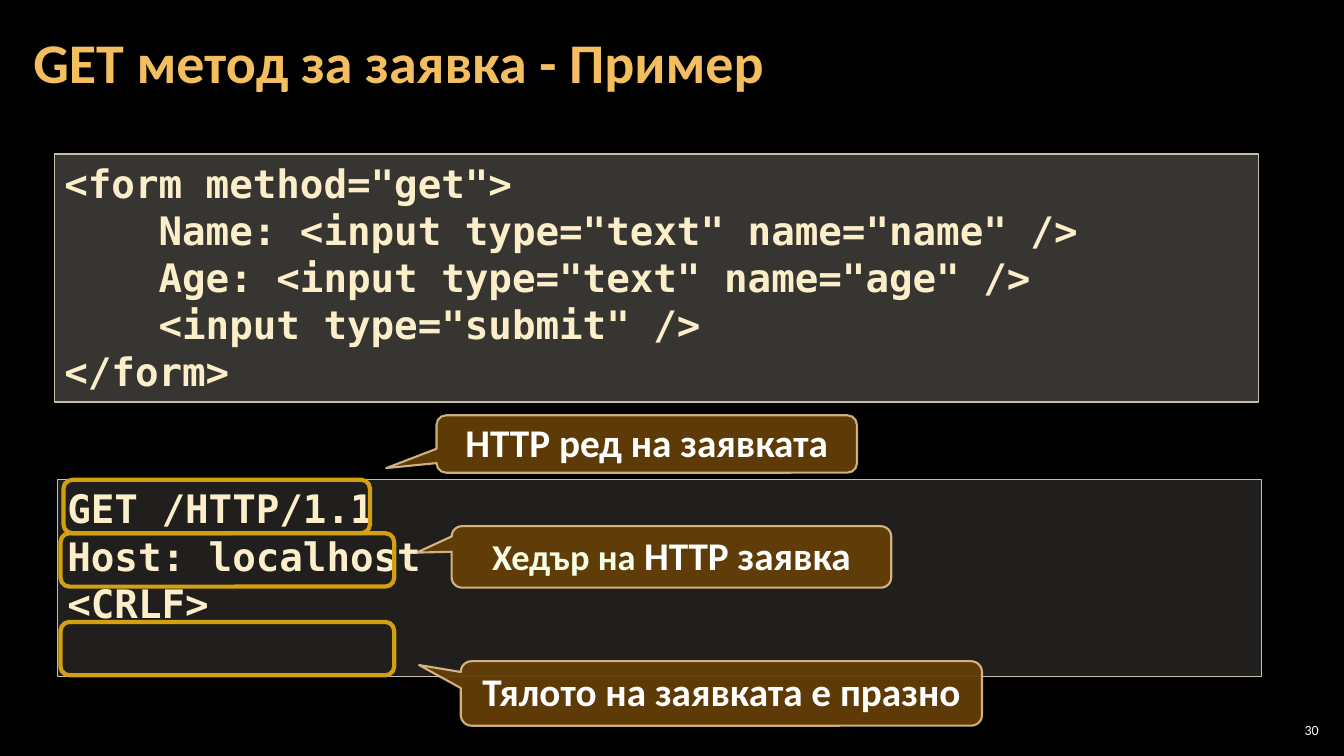
"""Build the slide that shows an example of a GET request."""
from dataclasses import dataclass

from lxml import etree
from pptx import Presentation
from pptx import util as u
from pptx.dml.color import RGBColor
from pptx.enum import shapes, text
from pptx.oxml import ns

BLACK = RGBColor(0x00, 0x00, 0x00)
WHITE = RGBColor(0xFF, 0xFF, 0xFF)
TITLE_GOLD = RGBColor(0xF3, 0xBE, 0x60)
CODE_CREAM = RGBColor(0xFB, 0xEE, 0xC9)
CODE_FILL = RGBColor(0xD9, 0xD5, 0xC7)
CODE_LINE = RGBColor(0xC7, 0xBF, 0xAC)
CALLOUT_FILL = RGBColor(0x64, 0x3F, 0x07)
CALLOUT_LINE = RGBColor(0xF8, 0xD4, 0x9E)
CALLOUT_IVORY = RGBColor(0xF7, 0xFF, 0xE7)
FRAME_GOLD = RGBColor(0xD2, 0xA0, 0x10)
TEXT_FONT = "Calibri"
CODE_FONT = "DejaVu Sans Mono"


@dataclass
class Area:
    left: float
    top: float
    width: float
    height: float

    def lengths(self) -> list:
        return [u.Inches(side) for side in (self.left, self.top, self.width, self.height)]


@dataclass
class Span:
    words: str
    size: int = 28
    color: RGBColor = WHITE


@dataclass
class CodeBox:
    area: Area
    opacity: int
    code: str


@dataclass
class Callout:
    area: Area
    tip: tuple[float, float]
    spans: list[Span]


CODE_BOXES = [
    CodeBox(Area(0.54, 1.53, 11.94, 2.46), 25, """<form method="get">
    Name: <input type="text" name="name" />
    Age: <input type="text" name="age" />
    <input type="submit" />
</form>"""),
    CodeBox(Area(0.57, 4.76, 11.94, 1.95), 15, """GET /HTTP/1.1
Host: localhost
<CRLF>"""),
]
CALLOUTS = [
    Callout(Area(4.33, 4.12, 4.17, 0.57), (-0.62, 0.42), [Span("HTTP ред на заявката")]),
    Callout(Area(4.48, 5.22, 4.36, 0.61), (-0.58, -0.07),
            [Span("Хедър на ", 26, CALLOUT_IVORY), Span("HTTP заявка")]),
    Callout(Area(4.57, 6.56, 5.17, 0.64), (-0.58, -0.44), [Span("Тялото на заявката е празно")]),
]
FRAMES = [Area(0.63, 4.76, 3.04, 0.53), Area(0.6, 5.29, 3.31, 0.53), Area(0.6, 6.17, 3.31, 0.53)]


def set_opacity(fill, color: RGBColor, percent: int) -> None:
    fill.solid()
    fill.fore_color.rgb = color
    color_tag = fill._xPr.find(".//" + ns.qn("a:srgbClr"))
    etree.SubElement(color_tag, ns.qn("a:alpha")).set("val", str(percent * 1000))


def style_span(span, size: int, color: RGBColor, font: str = TEXT_FONT, bold: bool = True) -> None:
    span.font.size = u.Pt(size)
    span.font.name = font
    span.font.bold = bold
    span.font.color.rgb = color


def add_outlined(page, kind, area: Area, color: RGBColor, weight: float):
    shape = page.shapes.add_shape(kind, *area.lengths())
    shape.shadow.inherit = False
    shape.fill.background()
    shape.line.color.rgb = color
    shape.line.width = u.Pt(weight)
    return shape


def add_code(page, box: CodeBox) -> None:
    shape = add_outlined(page, shapes.MSO_SHAPE.RECTANGLE, box.area, CODE_LINE, 1)
    set_opacity(shape.fill, CODE_FILL, box.opacity)
    frame = shape.text_frame
    frame.vertical_anchor = text.MSO_ANCHOR.TOP
    frame.text = box.code
    for para in frame.paragraphs:
        para.alignment = text.PP_ALIGN.LEFT
        style_span(para.runs[0], 28, CODE_CREAM, CODE_FONT)


def add_callout(page, callout: Callout) -> None:
    kind = shapes.MSO_SHAPE.ROUNDED_RECTANGULAR_CALLOUT
    shape = add_outlined(page, kind, callout.area, CALLOUT_LINE, 1.5)
    shape.adjustments[0], shape.adjustments[1] = callout.tip
    set_opacity(shape.fill, CALLOUT_FILL, 95)
    set_opacity(shape.line.fill, CALLOUT_LINE, 80)
    shape.text_frame.vertical_anchor = text.MSO_ANCHOR.MIDDLE
    para = shape.text_frame.paragraphs[0]
    para.alignment = text.PP_ALIGN.CENTER
    para.line_spacing = u.Pt(30)
    for item in callout.spans:
        span = para.add_run()
        span.text = item.words
        style_span(span, item.size, item.color)


def add_title(page) -> None:
    title = page.shapes.title
    title.left, title.top, title.width, title.height = Area(0.21, 0.04, 10.47, 1.21).lengths()
    frame = title.text_frame
    frame.text = "GET метод за заявка - Пример"
    frame.vertical_anchor = text.MSO_ANCHOR.MIDDLE
    frame.margin_left = frame.margin_right = u.Inches(0.12)
    frame.margin_top = frame.margin_bottom = u.Inches(0.04)
    para = frame.paragraphs[0]
    para.alignment = text.PP_ALIGN.LEFT
    para.line_spacing = 0.9
    style_span(para.runs[0], 40, TITLE_GOLD)


def add_page_number(page) -> None:
    frame = page.shapes.add_textbox(*Area(12.65, 7.14, 0.47, 0.21).lengths()).text_frame
    frame.word_wrap = True
    frame.vertical_anchor = text.MSO_ANCHOR.MIDDLE
    frame.margin_left = frame.margin_right = u.Inches(0.04)
    frame.margin_top = frame.margin_bottom = u.Inches(0.04)
    frame.text = "30"
    para = frame.paragraphs[0]
    para.alignment = text.PP_ALIGN.RIGHT
    style_span(para.runs[0], 10, WHITE, bold=False)


def main() -> None:
    deck = Presentation()
    deck.slide_width, deck.slide_height = u.Inches(13.33), u.Inches(7.5)
    page = deck.slides.add_slide(deck.slide_layouts.get_by_name("Title Only"))
    page.background.fill.solid()
    page.background.fill.fore_color.rgb = BLACK
    add_page_number(page)
    add_title(page)
    for box in CODE_BOXES:
        add_code(page, box)
    for callout in CALLOUTS:
        add_callout(page, callout)
    for area in FRAMES:
        add_outlined(page, shapes.MSO_SHAPE.ROUNDED_RECTANGLE, area, FRAME_GOLD, 3)
    deck.save("out.pptx")


if __name__ == "__main__":
    main()
